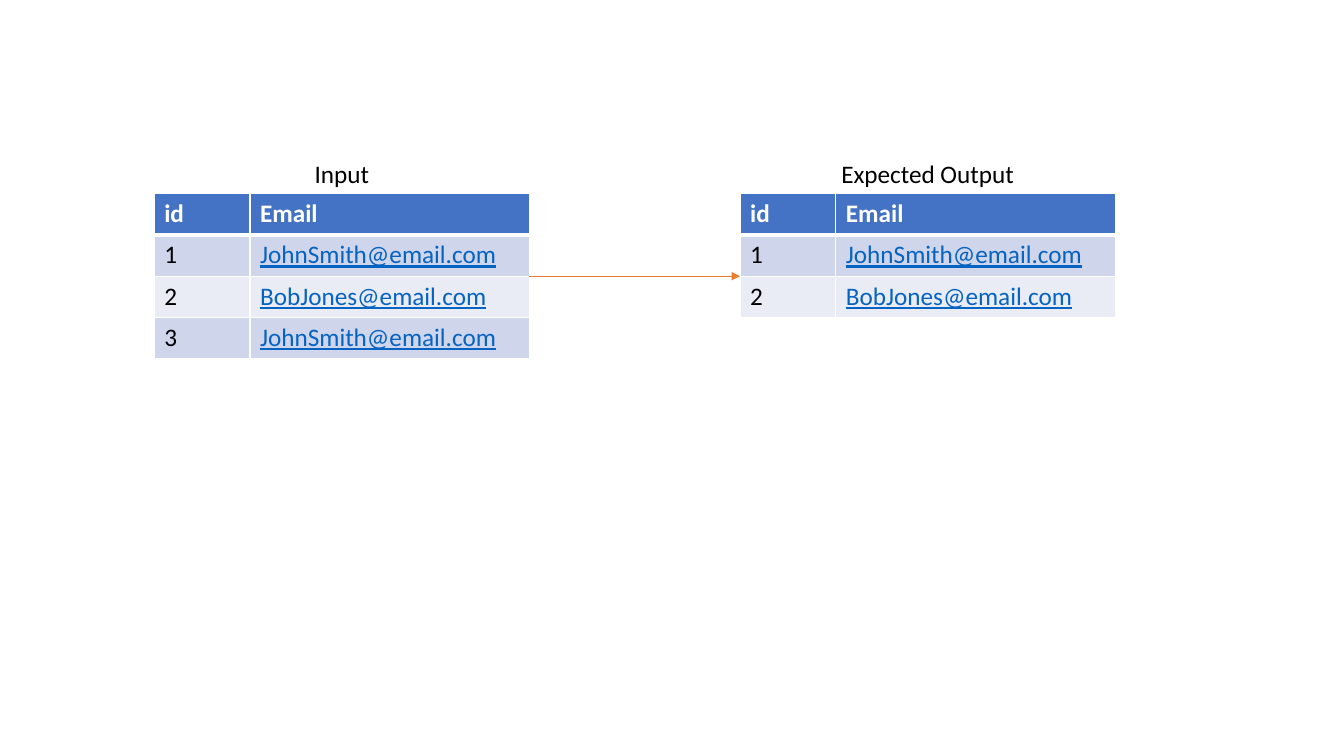
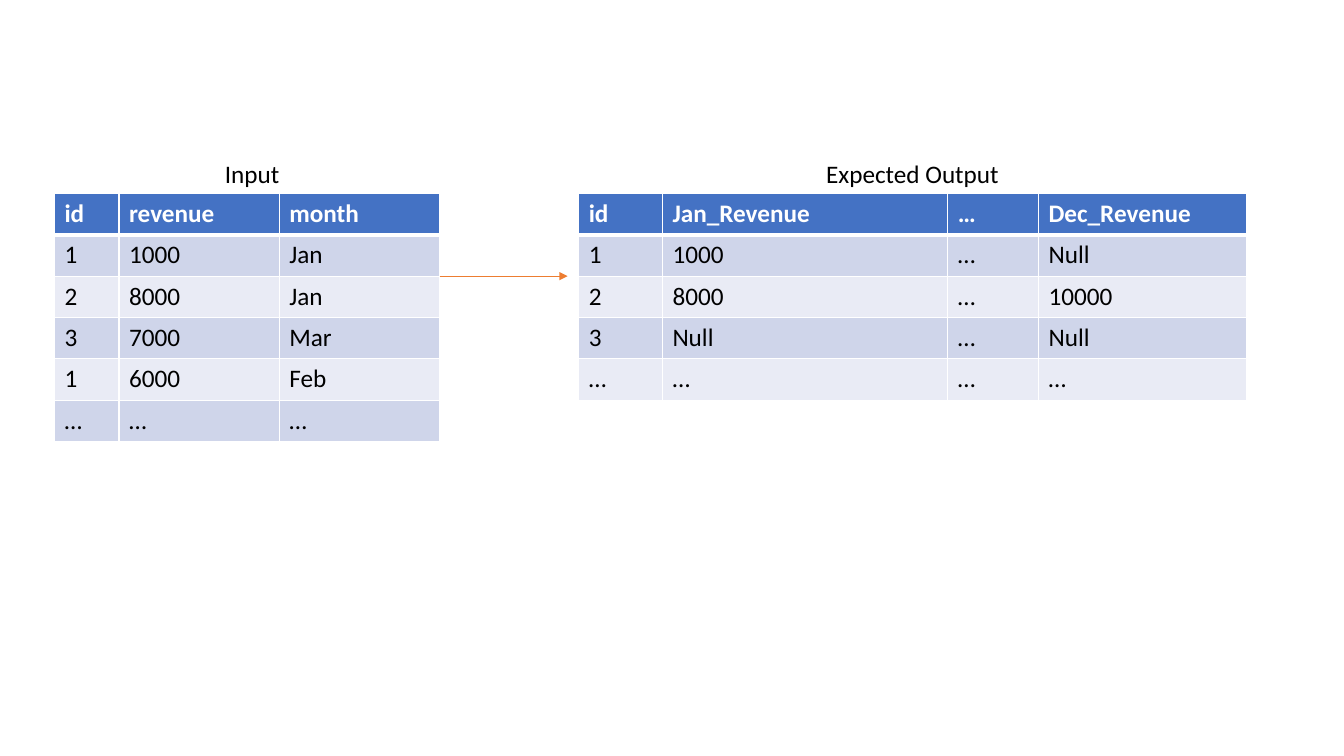
import dataclasses

import lxml.etree
import pptx
import pptx.dml.color
import pptx.enum.shapes
import pptx.enum.text
import pptx.oxml.ns
import pptx.util

Inches = pptx.util.Inches
Pt = pptx.util.Pt
qn = pptx.oxml.ns.qn
color = pptx.dml.color.RGBColor.from_string


@dataclasses.dataclass(frozen=True)
class Theme:
    font: str = "Calibri"
    size: int = 18
    ink: str = "000000"
    light: str = "FFFFFF"
    link: str = "0563C1"
    head: str = "4472C4"
    bands: tuple = ("CFD5EA", "E9EBF5")
    arrow: str = "ED7D31"
    thin: float = 0.5
    rule: int = 1
    thick: int = 3


@dataclasses.dataclass(frozen=True)
class Panel:
    """A captioned table; shift moves the caption off the table's centre."""
    title: str
    span: float
    left: float
    cols: tuple
    rows: tuple
    shift: float = 0

    @property
    def width(self):
        return sum(self.cols)

    @property
    def right(self):
        return self.left + self.width


THEME = Theme()
TOP = 1.92
ROW = 0.41
LABEL = 0.4

EMAILS = (
    ("id", "Email"),
    ("1", "JohnSmith@email.com"),
    ("2", "BobJones@email.com"),
    ("3", "JohnSmith@email.com"),
)
SALES = (
    ("id", "revenue", "month"),
    ("1", "1000", "Jan"),
    ("2", "8000", "Jan"),
    ("3", "7000", "Mar"),
    ("1", "6000", "Feb"),
    ("…", "…", "…"),
)
PIVOT = (
    ("id", "Jan_Revenue", "…", "Dec_Revenue"),
    ("1", "1000", "…", "Null"),
    ("2", "8000", "…", "10000"),
    ("3", "Null", "…", "Null"),
    ("…", "…", "…", "…"),
)

# Each slide: input panel, output panel, gap between arrow tip and output.
SLIDES = (
    (Panel("Input", 0.75, 1.53, (0.95, 2.77), EMAILS),
     Panel("Expected Output", 1.93, 7.34, (0.95, 2.77), EMAILS[:3]), 0),
    (Panel("Input", 0.75, 0.54, (0.64, 1.59, 1.59), SALES, 0.05),
     Panel("Expected Output", 1.93, 5.74, (0.83, 2.83, 0.9, 2.06), PIVOT), 0.11),
)


def style_text(frame, hue, bold=False, under=False):
    for run in frame.paragraphs[0].runs:
        font = run.font
        font.name = THEME.font
        font.size = Pt(THEME.size)
        font.bold = bold
        font.underline = under
        font.color.rgb = color(hue)


def add_edge(cell, side, points):
    props = cell._tc.get_or_add_tcPr()
    line = lxml.etree.SubElement(props, qn(f"a:ln{side}"), w=str(Pt(points)))
    fill = lxml.etree.SubElement(line, qn("a:solidFill"))
    lxml.etree.SubElement(fill, qn("a:srgbClr"), val=THEME.light)


def fill_cell(cell, text, row):
    """Row 0 is the header; the rows below it alternate in colour."""
    head = row == 0
    for side in "LRTB":
        heavy = (head and side == "B") or (row == 1 and side == "T")
        add_edge(cell, side, THEME.thick if heavy else THEME.rule)
    cell.fill.solid()
    cell.fill.fore_color.rgb = color(
        THEME.head if head else THEME.bands[(row - 1) % 2])
    cell.text_frame.text = text
    mail = "@" in text
    hue = THEME.light if head else THEME.link if mail else THEME.ink
    style_text(cell.text_frame, hue, head, mail)


def add_label(slide, panel):
    left = panel.left + (panel.width - panel.span) / 2 + panel.shift
    box = slide.shapes.add_textbox(
        Inches(left), Inches(TOP - LABEL), Inches(panel.span), Inches(LABEL))
    frame = box.text_frame
    frame.word_wrap = False
    frame.auto_size = pptx.enum.text.MSO_AUTO_SIZE.SHAPE_TO_FIT_TEXT
    frame.text = panel.title
    frame.paragraphs[0].alignment = pptx.enum.text.PP_ALIGN.CENTER
    style_text(frame, THEME.ink)


def add_panel(slide, panel):
    count = len(panel.rows)
    table = slide.shapes.add_table(
        count, len(panel.cols), Inches(panel.left), Inches(TOP),
        Inches(panel.width), Inches(ROW * count)).table
    for col, width in zip(table.columns, panel.cols):
        col.width = Inches(width)
    for row, texts in enumerate(panel.rows):
        table.rows[row].height = Inches(ROW)
        for col, text in enumerate(texts):
            fill_cell(table.cell(row, col), text, row)
    add_label(slide, panel)


def add_arrow(slide, start, end, level):
    arrow = slide.shapes.add_connector(
        pptx.enum.shapes.MSO_CONNECTOR.STRAIGHT,
        Inches(start), Inches(level), Inches(end), Inches(level))
    arrow.line.color.rgb = color(THEME.arrow)
    arrow.line.width = Pt(THEME.thin)
    lxml.etree.SubElement(
        arrow.line._get_or_add_ln(), qn("a:tailEnd"), type="triangle")
    lxml.etree.SubElement(arrow._element.spPr, qn("a:effectLst"))


def add_slide(deck, source, result, gap):
    slide = deck.slides.add_slide(deck.slide_layouts[6])
    add_panel(slide, source)
    add_panel(slide, result)
    add_arrow(slide, source.right, result.left - gap, TOP + 2 * ROW)


def main():
    deck = pptx.Presentation()
    deck.slide_width = Inches(13.33)
    deck.slide_height = Inches(7.5)
    for parts in SLIDES:
        add_slide(deck, *parts)
    deck.save("out.pptx")


if __name__ == "__main__":
    main()
